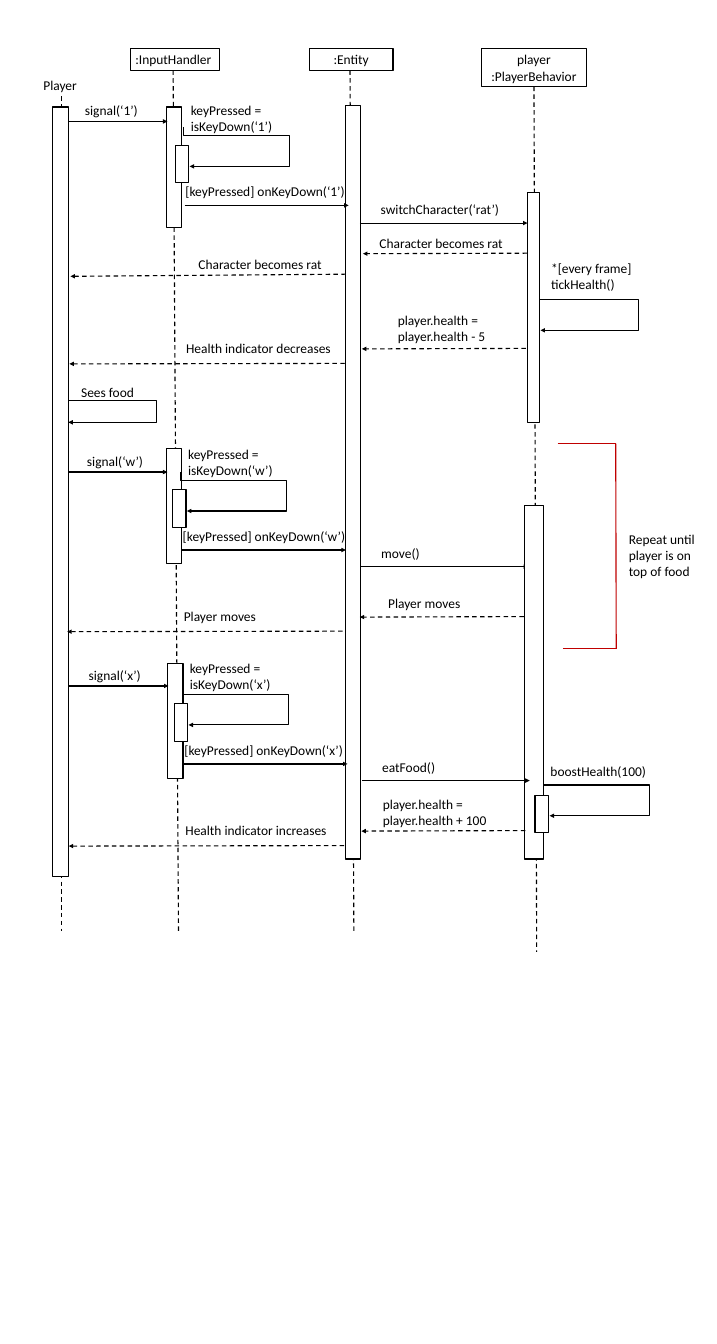
"""Build a sequence diagram of a player, an input handler, an entity and a behavior."""
from lxml import etree
from pptx import Presentation, util as u
from pptx.dml.color import RGBColor
from pptx.enum import dml, shapes, text
from pptx.oxml.ns import qn

INK, RED, PAPER = "000000", "C00000", "FFFFFF"
ELBOW, LINE = shapes.MSO_CONNECTOR.ELBOW, shapes.MSO_CONNECTOR.STRAIGHT


def paint(fmt, color):
    """Give a line, fill or font format a hex color."""
    if hasattr(fmt, "solid"):
        fmt.solid()
        fmt.fore_color.rgb = RGBColor.from_string(color)
    elif hasattr(fmt, "fill") and not hasattr(fmt, "bold"):
        paint(fmt.fill, color)
    else:
        fmt.color.rgb = RGBColor.from_string(color)


def write(shape, words, center=False):
    """Fill a shape with 18 point text, one paragraph per line."""
    frame = shape.text_frame
    frame.word_wrap = True
    frame.auto_size = text.MSO_AUTO_SIZE.SHAPE_TO_FIT_TEXT
    frame.text = words
    for para in frame.paragraphs:
        para.alignment = text.PP_ALIGN.CENTER if center else text.PP_ALIGN.LEFT
        para.font.name, para.font.size = "Calibri", u.Pt(18)
        paint(para.font, INK)


def label(x, y, width, words, rows=1):
    """Place a wrapping label of the given number of rows."""
    box = slide.shapes.add_textbox(u.Pt(x), u.Pt(y), u.Pt(width), u.Pt(7.2 + 21.8 * rows))
    write(box, words)


def bar(x, y, width, height):
    """Place a white outlined rectangle."""
    box = slide.shapes.add_shape(shapes.MSO_SHAPE.RECTANGLE,
                                 u.Pt(x), u.Pt(y), u.Pt(width), u.Pt(height))
    box.shadow.inherit = False
    paint(box.fill, PAPER)
    paint(box.line, INK)
    box.line.width = u.Pt(1.5)
    return box


def line(x1, y1, x2, y2, dash=False, head=True, color=INK, kind=LINE):
    """Draw a line, dashed or solid, with or without an arrowhead."""
    link = slide.shapes.add_connector(kind, u.Pt(x1), u.Pt(y1), u.Pt(x2), u.Pt(y2))
    paint(link.line, color)
    link.line.width = u.Pt(1.5)
    if dash:
        link.line.dash_style = dml.MSO_LINE.DASH
    props = link._element.spPr
    if head:
        etree.SubElement(props.find(qn("a:ln")), qn("a:tailEnd"), type="triangle")
    etree.SubElement(props, qn("a:effectLst"))
    return link


def loop(x, y, reach=142.5, drop=11):
    """Draw a self call that leaves at (x, y), goes right and comes back 52 lower."""
    wide, high = 52.2, 8.7
    left, top = x + (high - wide) / 2, y + (wide - high) / 2
    link = line(left, top, left + wide, top + high, kind=ELBOW)
    props = link._element.spPr
    props.xfrm.set("rot", "16200000")
    props.xfrm.set("flipH", "1")
    geom = props.find(qn("a:prstGeom"))
    geom.set("prst", "bentConnector4")
    guides = geom.find(qn("a:avLst"))
    if guides is None:
        guides = etree.SubElement(geom, qn("a:avLst"))
    for name, part in (("adj1", drop / wide), ("adj2", reach / high)):
        etree.SubElement(guides, qn("a:gd"), name=name, fmla=f"val {round(part * 100000)}")


def lane(x, y, width, words, height, life, center=True):
    """Draw a named head and the dashed lifeline below it."""
    line(*life, dash=True, head=False)
    write(bar(x, y, width, height), words, center)


def press(x, y, key, post, call, note):
    """Draw one key press: signal, self check and message to the entity."""
    left, top, height = post
    label(note, call - 29, 100, f"signal(‘{key}’)")
    bar(left, top, 20.4, height)
    line(left - 132, call, left + 1, call)
    label(x + 13.7, y - 38, 204, f"keyPressed = isKeyDown(‘{key}’)", 2)
    loop(x + 10.5, y)
    bar(x, y + 24, 18, 50.4)
    line(x + 12.5, y + 104.5, x + 232, y + 104.5, kind=ELBOW)
    label(x + 6.5, y + 71, 243, f"[keyPressed] onKeyDown(‘{key}’)")


def reply(x, y, gap, near, far, rise=0.7):
    """Draw dashed replies from behavior to entity and from entity to player."""
    line(x, y, x - 219.6, y + 0.7, dash=True)
    line(x - 242.6, y + gap, x - 611.3, y + gap + rise, dash=True)
    label(*near)
    label(*far)


def until(x, y, width, height):
    """Draw the red bracket with its repeat note."""
    right = x + width
    line(x, y, right, y, head=False, color=RED)
    line(right, y, right + 0.7, y + height, head=False, color=RED)
    line(x + 7, y + height, right + 0.7, y + height, head=False, color=RED)
    label(right + 10.4, y + 113.8, 123, "Repeat until player is on top of food", 3)


def lanes():
    """Draw the four lifelines and their activation bars."""
    line(82, 129, 82, 1247, dash=True, head=False)
    label(51, 100, 62.6, "Player")
    lane(174.2, 65, 120.2, ":InputHandler", 29, (231.8, 94.3, 239, 1247), False)
    lane(414, 65, 112.3, ":Entity", 29, (468.7, 94.3, 473.8, 1247))
    lane(644.4, 65, 141, "player\n:PlayerBehavior", 51, (715, 116, 718.6, 1275))
    loop(82.8, 513.4, 127, 22.5)
    loop(715, 390.2, 140)
    line(482.4, 758.9, 707, 758.9)
    for post in ((70.6, 143.3, 21.6, 1030.3), (462.2, 141.8, 20.2, 1008.7),
                 (706.3, 257.8, 16.6, 308.2), (702.7, 677.5, 25.2, 473)):
        bar(*post)


def calls():
    """Draw the messages that reach the behavior and the self calls."""
    label(502.6, 266.4, 214, "switchCharacter(‘rat’)")
    line(481.7, 298.8, 706.3, 298.8)
    label(730.8, 345, 124.6, "*[every frame] tickHealth()", 2)
    label(101.5, 510.5, 116.6, "Sees food")
    label(503.3, 726.5, 214, "move()")
    label(504.7, 1013, 193.7, "eatFood()")
    line(484.6, 1045.4, 709.2, 1045.4)
    loop(727.2, 1040.4)
    label(730, 1018, 194.4, "boostHealth(100)")
    bar(716.4, 1064.9, 18, 50.4)


deck = Presentation()
deck.slide_width, deck.slide_height = u.Pt(960), u.Pt(1800)
slide = deck.slides.add_slide(deck.slide_layouts[6])
lanes()
calls()
press(234.7, 170.6, "1", (223.2, 143.3, 161.3), 162.7, 106.6)
press(231.1, 632.2, "w", (223.2, 601.2, 154), 632.2, 109.4)
press(233.3, 918.7, "x", (224.6, 888.5, 154), 918.7, 111.6)
reply(705.6, 339.1, 28.1, (501, 311, 215.3, "Character becomes rat"),
      (258.5, 339, 215.3, "Character becomes rat"), 2.9)
reply(704.2, 466.6, 20.1, (525.6, 414.7, 190, "player.health = player.health - 5", 2),
      (242, 452.2, 231.8, "Health indicator decreases"))
reply(701.3, 825.8, 19.5, (512.6, 793.4, 190, "Player moves"),
      (239, 810.7, 231.8, "Player moves"))
reply(703.4, 1112.4, 20.1, (505.4, 1062, 190, "player.health = player.health + 100", 2),
      (241.2, 1097.3, 231.8, "Health indicator increases"))
until(746.6, 594, 77.8, 275)
deck.save("out.pptx")
